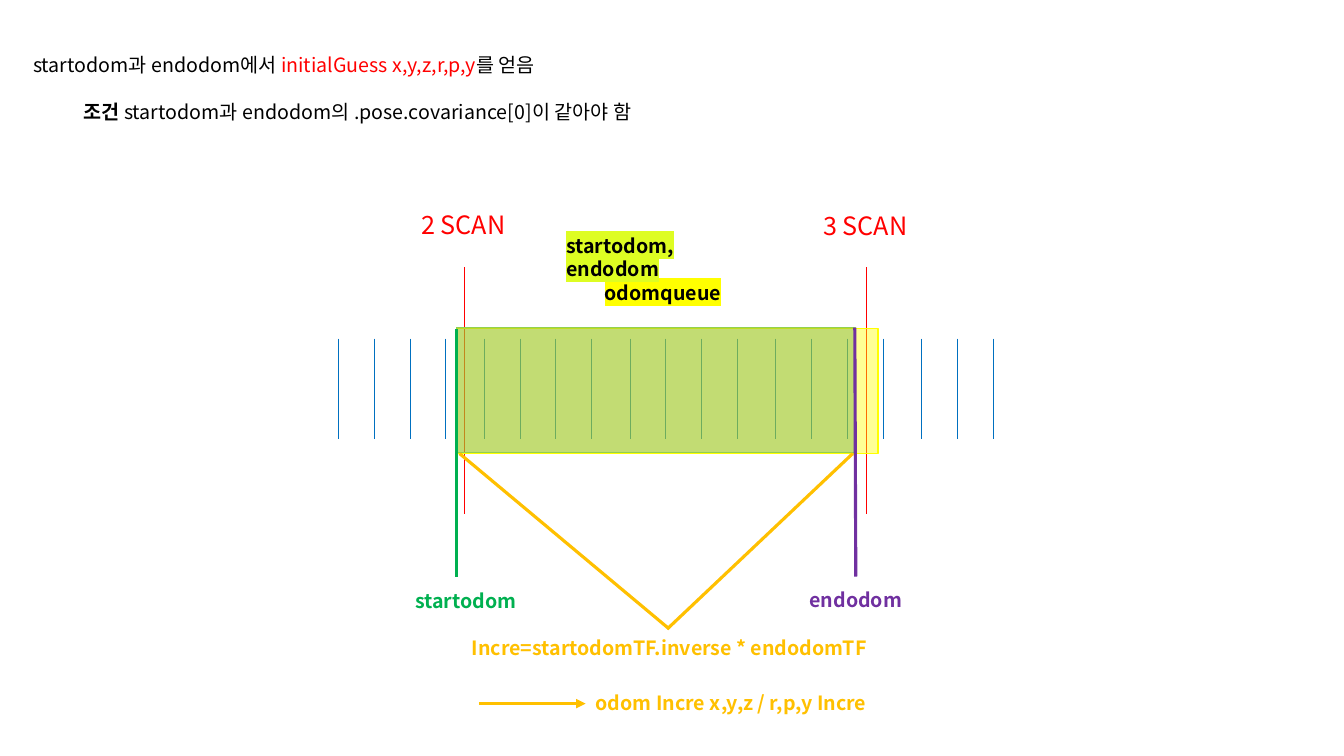
from lxml import etree
from pptx import Presentation
from pptx.dml.color import RGBColor
from pptx.enum.shapes import MSO_CONNECTOR, MSO_SHAPE
from pptx.enum.text import MSO_ANCHOR, PP_ALIGN
from pptx.oxml.ns import qn
from pptx.util import Pt

LINE = MSO_CONNECTOR.STRAIGHT
RECT = MSO_SHAPE.RECTANGLE
MIDDLE = MSO_ANCHOR.MIDDLE
LEFT, CENTER = PP_ALIGN.LEFT, PP_ALIGN.CENTER

BLACK = RGBColor(0x00, 0x00, 0x00)
RED = RGBColor(0xFF, 0x00, 0x00)
BLUE = RGBColor(0x00, 0x70, 0xC0)
YELLOW = RGBColor(0xFF, 0xFF, 0x00)
LIME = RGBColor(0xDE, 0xFD, 0x23)
GREEN = RGBColor(0x00, 0xB0, 0x50)
OLIVE = RGBColor(0x70, 0xAD, 0x47)
LEAF = RGBColor(0x92, 0xD0, 0x50)
PURPLE = RGBColor(0x70, 0x30, 0xA0)
GOLD = RGBColor(0xFF, 0xC0, 0x00)
FONT = "Noto Sans CJK KR"

deck = Presentation()
deck.slide_width, deck.slide_height = Pt(960), Pt(540)
slide = deck.slides.add_slide(deck.slide_layouts[6])
shapes = slide.shapes


def add_line(x1, y1, x2, y2, color, width):
    line = shapes.add_connector(LINE, Pt(x1), Pt(y1), Pt(x2), Pt(y2))
    line.line.color.rgb = color
    line.line.width = Pt(width)
    etree.SubElement(line._element.spPr, qn("a:effectLst"))
    return line


def add_run(para, text, color, size=14, bold=False, mark=None):
    run = para.add_run()
    run.text = text
    run.font.color.rgb = color
    props = run._r.get_or_add_rPr()
    if mark:
        light = etree.SubElement(props, qn("a:highlight"))
        etree.SubElement(light, qn("a:srgbClr"), val=str(mark))
    for name, value in {"size": Pt(size), "bold": bold, "name": FONT}.items():
        setattr(run.font, name, value)
    etree.SubElement(props, qn("a:ea"), typeface=FONT)


intro = shapes.add_textbox(Pt(16.6), Pt(15.1), Pt(927.4), Pt(78.5)).text_frame
intro.word_wrap = True
intro.vertical_anchor = MIDDLE
goal, rule = intro.paragraphs[0], intro.add_paragraph()
goal.line_spacing = rule.line_spacing = 2.0
rule.level = 1
rule._p.get_or_add_pPr().set("marL", str(Pt(36)))
add_run(goal, "startodom과 endodom에서 ", BLACK)
add_run(goal, "initialGuess x,y,z,r,p,y", RED)
add_run(goal, "를 얻음", BLACK)
add_run(rule, "조건 ", BLACK, bold=True)
add_run(rule, "startodom과 endodom의 .pose.covariance[0]이 같아야 함", BLACK)

for tick in range(19):
    block, step = divmod(tick, 4)
    x = 241.9 + 104.1 * block + 25.5 * step
    add_line(x, 241.9, x, 313.9, BLUE, 0.5)

for x in (331.9, 618.5):
    add_line(x, 190.8, x, 367.2, RED, 0.5)

for top, width, fill, edge in (
    (234.7, 301, YELLOW, YELLOW),
    (234, 284.4, OLIVE, LEAF),
):
    span = shapes.add_shape(RECT, Pt(326.2), Pt(top), Pt(width), Pt(89.3))
    span.shadow.inherit = False
    span.fill.solid()
    span.fill.fore_color.rgb = fill
    tint = span._element.spPr.find(qn("a:solidFill"))[0]
    etree.SubElement(tint, qn("a:alpha"), val="42000")
    span.line.color.rgb = edge
    span.line.width = Pt(1)

for ends, color in (
    ((610.6, 234, 611.3, 411.8), PURPLE),
    ((326.2, 234.7, 326.2, 411.8), GREEN),
    ((328.3, 324, 478.1, 449.3), GOLD),
    ((609.1, 324, 476.6, 449.3), GOLD),
):
    add_line(*ends, color, 2.25)

arrow = add_line(342, 502.6, 418.3, 502.6, GOLD, 2.25)
etree.SubElement(arrow.line._get_or_add_ln(), qn("a:tailEnd"), type="triangle")

for text, x, y, width, height, align, form in (
    ("3 SCAN", 581, 146.9, 136.8, 41, LEFT, {"color": RED, "size": 18}),
    ("2 SCAN", 293.8, 146.2, 81.4, 28.8, LEFT, {"color": RED, "size": 18}),
    ("odomqueue", 424.8, 197.3, 100.1, 24.5, LEFT,
     {"color": BLACK, "bold": True, "mark": YELLOW}),
    ("endodom", 535, 416.2, 152.6, 24.5, CENTER, {"color": PURPLE, "bold": True}),
    ("startodom", 289.4, 416.9, 141.1, 34.6, LEFT, {"color": GREEN, "bold": True}),
    ("startodom, endodom", 397.4, 163.4, 157.7, 24.5, LEFT,
     {"color": BLACK, "bold": True, "mark": LIME}),
    ("Incre=startodomTF.inverse * endodomTF", 329.8, 450.7, 342, 24.5, LEFT,
     {"color": GOLD, "bold": True}),
    ("odom Incre x,y,z / r,p,y Incre", 418.3, 490.3, 247.7, 24.5, LEFT,
     {"color": GOLD, "bold": True}),
):
    frame = shapes.add_textbox(Pt(x), Pt(y), Pt(width), Pt(height)).text_frame
    frame.word_wrap = True
    para = frame.paragraphs[0]
    para.alignment = align
    add_run(para, text, **form)

deck.save("out.pptx")
